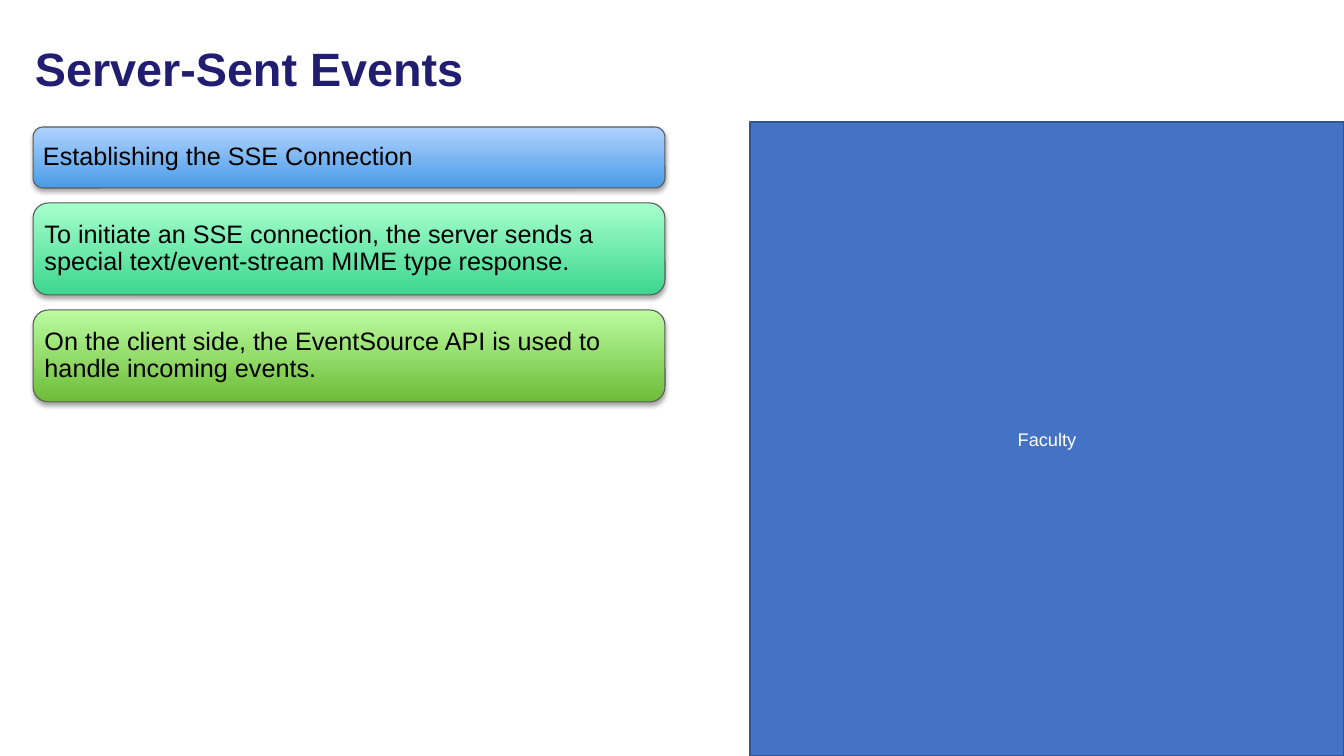
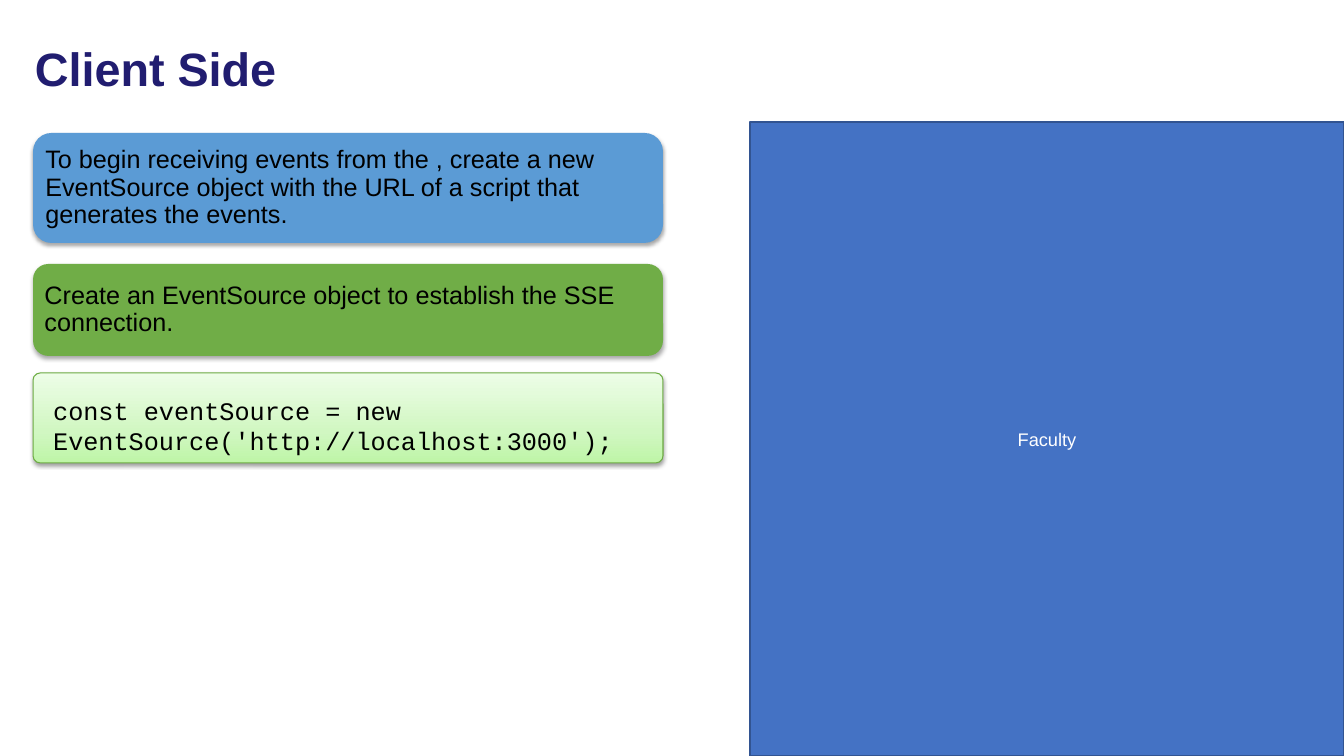
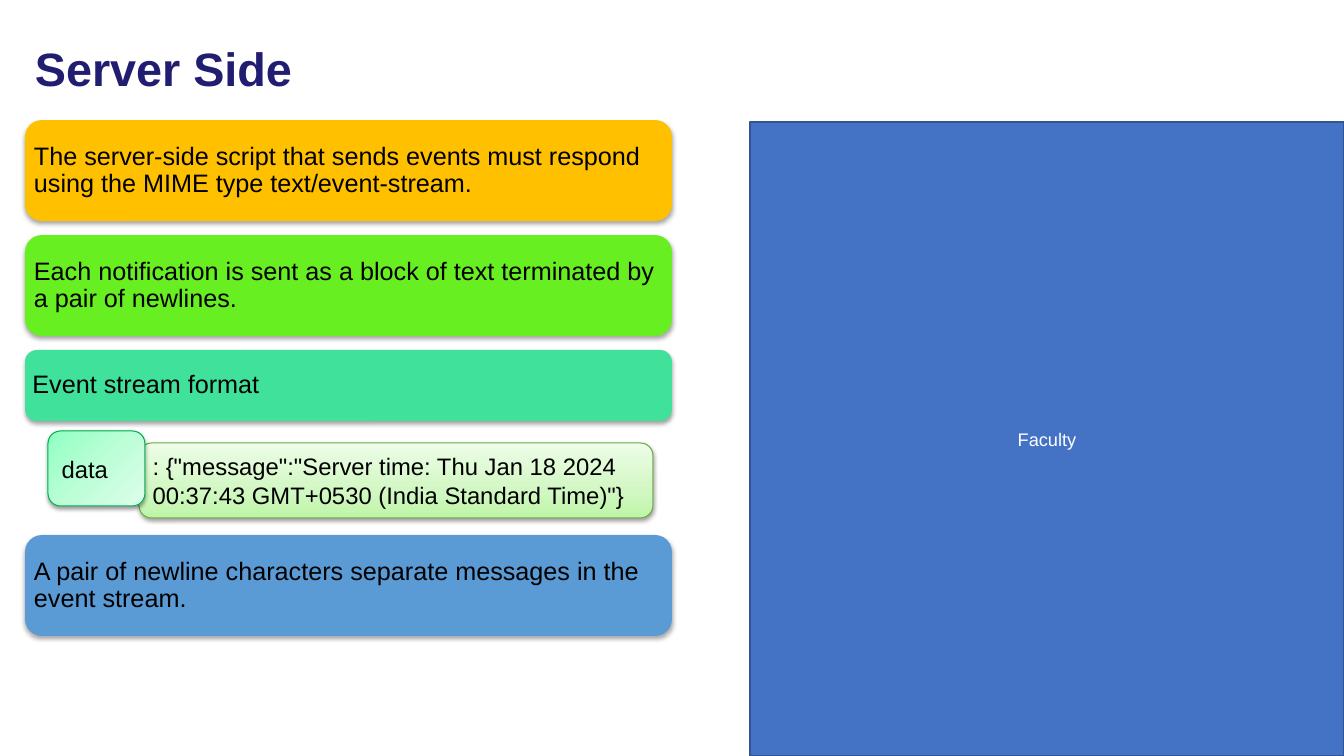
from dataclasses import dataclass
from typing import NamedTuple

from pptx import Presentation
from pptx.dml.color import RGBColor
from pptx.enum.shapes import MSO_SHAPE
from pptx.enum.text import MSO_ANCHOR, PP_ALIGN
from pptx.oxml import parse_xml
from pptx.oxml.ns import nsdecls, qn
from pptx.util import Emu, Pt

SLIDE_W, SLIDE_H = 1344, 756
EMU_PER_PX = 12192000 / SLIDE_W


class Box(NamedTuple):
    x: int
    y: int
    w: int
    h: int


class Gradient(NamedTuple):
    angle: int
    stops: tuple


class Card(NamedTuple):
    h: int
    fill: object
    text: str


class Shadow(NamedTuple):
    alpha: int
    blur: float
    dist: float


@dataclass(frozen=True)
class Theme:
    font: str = "Arial"
    code_font: str = "Courier New"
    title_size: float = 33.4
    card_size: float = 18
    sample_size: float = 17
    panel_size: float = 13
    tight: float = 0.9
    title: str = "211D70"
    text: str = "000000"
    panel: str = "4472C4"
    panel_line: str = "325491"
    panel_text: str = "FFFFFF"
    card_line: str = "595959"
    code_line: str = "6DAC43"
    label_line: str = "00B050"
    blue: str = "5B9BD5"
    green: str = "70AD47"
    amber: str = "FFC000"
    lime: str = "67EF21"
    mint: str = "3FE19B"
    blue_fade: Gradient = Gradient(270, ((0, "499CE7"), (100, "B0D2FF")))
    mint_fade: Gradient = Gradient(270, ((0, "3CD68F"), (100, "A7FFCC")))
    green_fade: Gradient = Gradient(270, ((0, "6DBC38"), (100, "BBFCA0")))
    code_fade: Gradient = Gradient(
        270, ((0, "BEF5A7"), (35, "D1F7C2"), (100, "EDFDE7")))
    label_fade: Gradient = Gradient(
        45, ((0, "90FFC1"), (50, "BCFED7"), (100, "DEFEEB")))
    card_shadow: Shadow = Shadow(35, 3.1, 1.8)
    sample_shadow: Shadow = Shadow(38, 3.1, 1.6)


THEME = Theme()


def px(n):
    return Emu(round(n * EMU_PER_PX))


def rgb(color):
    return RGBColor.from_string(color)


def set_fill(sp, fill):
    if isinstance(fill, Gradient):
        stops = "".join(
            f'<a:gs pos="{pos * 1000}"><a:srgbClr val="{color}"/></a:gs>'
            for pos, color in fill.stops)
        geom = sp._element.spPr.find(qn("a:prstGeom"))
        geom.addnext(parse_xml(
            f'<a:gradFill {nsdecls("a")} rotWithShape="1"><a:gsLst>{stops}</a:gsLst>'
            f'<a:lin ang="{fill.angle * 60000}" scaled="0"/></a:gradFill>'))
    else:
        sp.fill.solid()
        sp.fill.fore_color.rgb = rgb(fill)


def set_shadow(sp, shadow):
    sp.shadow.inherit = False
    if shadow:
        sp._element.spPr.find(qn("a:effectLst")).append(parse_xml(
            f'<a:outerShdw {nsdecls("a")} blurRad="{Pt(shadow.blur)}" '
            f'dist="{Pt(shadow.dist)}" dir="5400000" rotWithShape="0">'
            f'<a:srgbClr val="000000"><a:alpha val="{shadow.alpha * 1000}"/>'
            '</a:srgbClr></a:outerShdw>'))


def add_box(slide, kind, box, fill, line=None, line_w=0.75, shadow=None):
    sp = slide.shapes.add_shape(kind, *map(px, box))
    set_fill(sp, fill)
    if line:
        sp.line.color.rgb = rgb(line)
        sp.line.width = Pt(line_w)
    else:
        sp.line.fill.background()
    set_shadow(sp, shadow)
    return sp


def set_text(sp, text, size, color=THEME.text, font=THEME.font, bold=False,
             align=PP_ALIGN.LEFT, anchor=MSO_ANCHOR.MIDDLE,
             spacing=1.0, insets=(10, 5, 10, 5)):
    tf = sp.text_frame
    tf.word_wrap = True
    tf.vertical_anchor = anchor
    tf.margin_left, tf.margin_top, tf.margin_right, tf.margin_bottom = map(px, insets)
    p = tf.paragraphs[0]
    p.text = text
    p.alignment = align
    p.line_spacing = spacing
    p.font.name = font
    p.font.size = Pt(size)
    p.font.bold = bold
    p.font.color.rgb = rgb(color)


def add_panel(slide, box):
    sp = add_box(slide, MSO_SHAPE.RECTANGLE, box, THEME.panel, THEME.panel_line, 2)
    set_text(sp, "Faculty", THEME.panel_size, THEME.panel_text,
             align=PP_ALIGN.CENTER)


def add_title(slide, box, text):
    sp = slide.shapes.add_textbox(*map(px, box))
    set_text(sp, text, THEME.title_size, THEME.title, bold=True,
             spacing=THEME.tight)


def new_slide(prs, title):
    slide = prs.slides.add_slide(prs.slide_layouts[6])
    add_panel(slide, Box(750, 122, 594, 634))
    add_title(slide, Box(25, 25, 1190, 92), title)
    return slide


def add_cards(slide, x, y, w, gap, cards, pad=7, line=None):
    for card in cards:
        sp = add_box(slide, MSO_SHAPE.ROUNDED_RECTANGLE, Box(x, y, w, card.h),
                     card.fill, line, shadow=THEME.card_shadow)
        set_text(sp, card.text, THEME.card_size, spacing=THEME.tight,
                 insets=(pad,) * 4)
        y += card.h + gap
    return y - gap


def add_code(slide, box, text):
    sp = add_box(slide, MSO_SHAPE.ROUNDED_RECTANGLE, box, THEME.code_fade,
                 THEME.code_line, shadow=THEME.sample_shadow)
    sp.adjustments[0] = 0.08
    set_text(sp, text, THEME.card_size, font=THEME.code_font,
             anchor=MSO_ANCHOR.TOP, insets=(18, 20, 10, 5))


def add_labelled_sample(slide, box, label, text):
    part_h = box.h - 12
    parts = (
        (Box(box.x + 91, box.y + 12, box.w - 91, part_h),
         THEME.code_fade, THEME.code_line, text, MSO_ANCHOR.TOP),
        (Box(box.x, box.y, 97, part_h),
         THEME.label_fade, THEME.label_line, label, MSO_ANCHOR.MIDDLE),
    )
    for part, fill, line, words, anchor in parts:
        sp = add_box(slide, MSO_SHAPE.ROUNDED_RECTANGLE, part, fill, line,
                     shadow=THEME.sample_shadow)
        set_text(sp, words, THEME.sample_size, anchor=anchor)


def events_slide(prs):
    slide = new_slide(prs, "Server-Sent Events")
    add_cards(slide, 33, 127, 632, 15, (
        Card(61, THEME.blue_fade, "Establishing the SSE Connection"),
        Card(92, THEME.mint_fade,
             "To initiate an SSE connection, the server sends a special "
             "text/event-stream MIME type response."),
        Card(92, THEME.green_fade,
             "On the client side, the EventSource API is used to handle "
             "incoming events."),
    ), line=THEME.card_line)


def client_slide(prs):
    slide = new_slide(prs, "Client Side")
    x, w = 33, 630
    bottom = add_cards(slide, x, 133, w, 21, (
        Card(110, THEME.blue,
             "To begin receiving events from the , create a new EventSource "
             "object with the URL of a script that generates the events."),
        Card(92, THEME.green,
             "Create an EventSource object to establish the SSE connection."),
    ))
    add_code(slide, Box(x, bottom + 17, w, 90),
             "const eventSource = new EventSource('http://localhost:3000');")


def server_slide(prs):
    slide = new_slide(prs, "Server Side")
    x, w, gap, pad = 25, 647, 14, 4
    bottom = add_cards(slide, x, 120, w, gap, (
        Card(101, THEME.amber,
             "The server-side script that sends events must respond using "
             "the MIME type text/event-stream."),
        Card(101, THEME.lime,
             "Each notification is sent as a block of text terminated by a "
             "pair of newlines."),
        Card(71, THEME.mint, "Event stream format"),
    ), pad)
    sample = Box(x + 23, bottom + 10, 605, 87)
    add_labelled_sample(
        slide, sample, "data",
        ': {"message":"Server time: Thu Jan 18 2024 00:37:43 GMT+0530 '
        '(India Standard Time)"}')
    add_cards(slide, x, sample.y + sample.h + 17, w, gap, (
        Card(101, THEME.blue,
             "A pair of newline characters separate messages in the event "
             "stream."),
    ), pad)


def main():
    prs = Presentation()
    prs.slide_width, prs.slide_height = px(SLIDE_W), px(SLIDE_H)
    for build in (events_slide, client_slide, server_slide):
        build(prs)
    prs.save("out.pptx")


if __name__ == "__main__":
    main()
